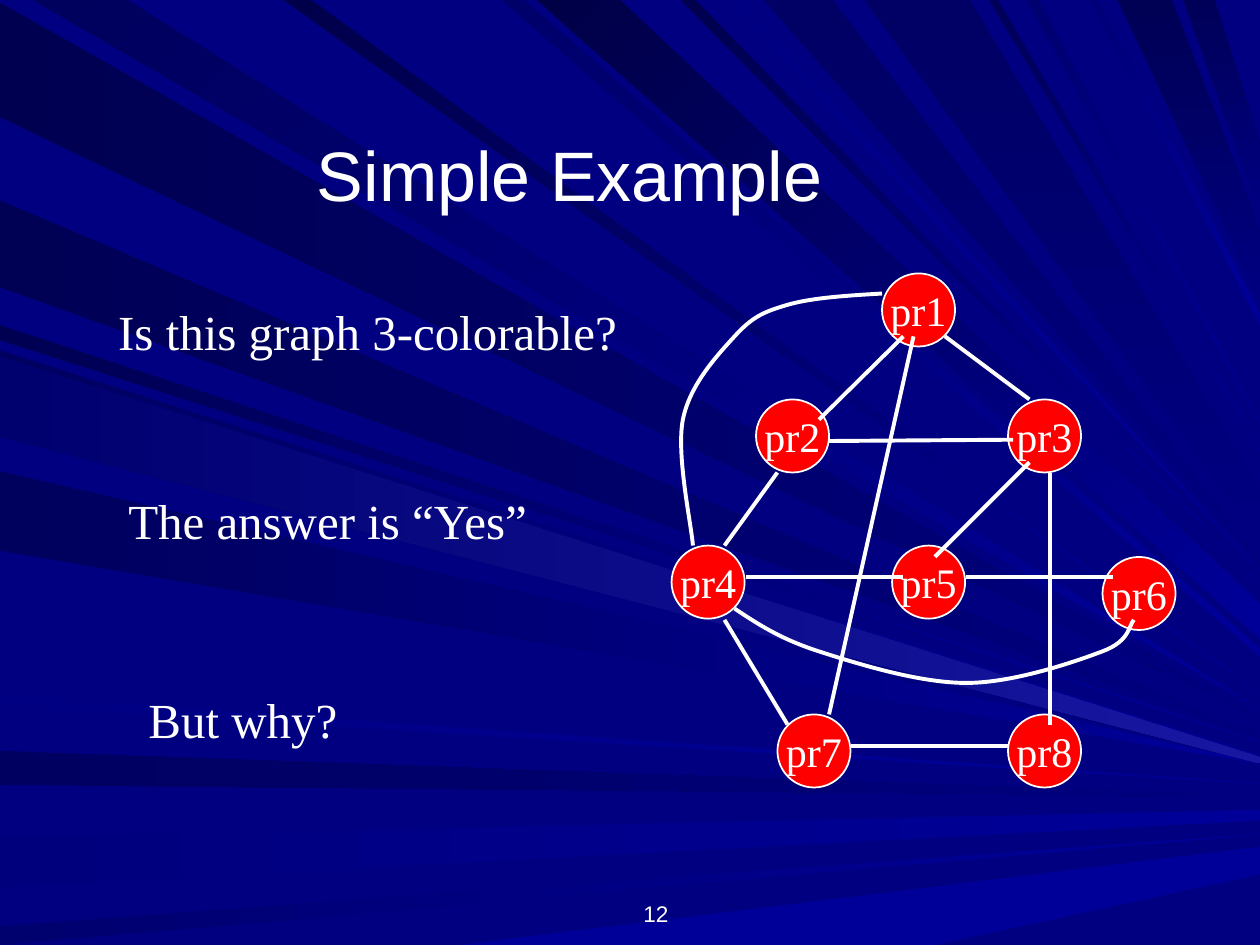
from dataclasses import dataclass

from pptx import Presentation
from pptx.dml.color import RGBColor
from pptx.enum.shapes import MSO_CONNECTOR, MSO_SHAPE
from pptx.enum.text import MSO_ANCHOR, PP_ALIGN
from pptx.oxml.ns import qn
from pptx.util import Inches, Pt


@dataclass(frozen=True)
class Theme:
    background: str = "000080"
    bright: str = "000099"
    glow: str = "1717A2"
    ink: str = "FFFFFF"
    node: str = "FF0000"
    sans: str = "Arial"
    serif: str = "Times New Roman"
    title_size: float = 40
    body_size: float = 28
    node_size: float = 24
    number_size: float = 12.9
    outline: float = 1
    edge: float = 2.25


theme = Theme()


def set_text(shape, text, size, font, align, anchor):
    frame = shape.text_frame
    frame.text = text
    frame.vertical_anchor = anchor
    para = frame.paragraphs[0]
    para.alignment = align
    for span in para.runs:
        span.font.size = Pt(size)
        span.font.name = font
        span.font.color.rgb = RGBColor.from_string(theme.ink)


def add_outline(shapes, points, close):
    """Add a freeform through points given in inches."""
    start, *rest = [(Inches(x), Inches(y)) for x, y in points]
    builder = shapes.build_freeform(*start, scale=1.0)
    builder.add_line_segments(rest, close=close)
    shape = builder.convert_to_shape()
    shape.shadow.inherit = False
    return shape


deck = Presentation()
deck.slide_width, deck.slide_height = Inches(10), Inches(7.5)
page = deck.slides.add_slide(deck.slide_layouts[5])
page.background.fill.solid()
page.background.fill.fore_color.rgb = RGBColor.from_string(theme.background)

# Rays run from the left, top or bottom edge to the right edge:
# edge, first colour, last colour, span on that edge, end or span on the right edge
rays = [
    ("left", "000051", theme.background, 0.02, 0.93, 5.7),
    ("top", "00005D", theme.bright, 0.26, 1.01, 5.63),
    ("left", "000061", theme.background, 5.96, 6.23, 6.32),
    ("left", "00007D", theme.bright, 6.65, 7.04, 6.43, 6.51),
    ("left", "00006F", theme.bright, 7.35, 7.5, 6.62),
    ("bottom", theme.bright, theme.bright, 3.64, 7.42, 6.72, 6.94),
    ("left", "000053", theme.bright, 2.58, 2.7, 5.89),
    ("left", "000055", theme.background, 1.59, 2.28, 5.85),
    ("top", "00006B", theme.bright, 3.98, 4.16, 5.21, 5.15),
    ("top", "000047", theme.bright, 4.26, 4.92, 5.07, 4.79),
    ("top", "00004F", theme.bright, 5.4, 5.52, 4.63),
    ("top", "000065", theme.background, 6.06, 6.61, 4.46),
    ("top", "000055", theme.background, 8.87, 9.3, 2.37, 1.83),
    ("top", "000059", theme.background, 9.39, 9.64, 1.67, 1.14),
    ("left", "000061", theme.bright, 2.78, 3.42, 6),
    ("left", "00005D", theme.bright, 3.74, 4.37, 6.06),
    ("left", "000082", theme.bright, 5.52, 5.6, 6.22),
    ("top", "00004A", theme.bright, 2.25, 2.47, 5.5),
    ("top", "000082", theme.bright, 5.77, 5.88, 4.54),
    ("top", "000065", theme.background, 6.86, 7.7, 4.28, 3.9),
    ("top", "000058", theme.bright, 7.85, 7.92, 3.57),
    ("top", "00006F", theme.bright, 8.15, 8.24, 3.36),
    ("top", "000079", theme.bright, 8.65, 8.72, 2.58, 2.49),
    ("left", "00006F", theme.glow, 2.83, 3.47, 6.01, 6.06),
]
ray_group = page.shapes.add_group_shape()
for side, first, last, near, far, *ends in rays:
    if side == "left":
        base, angle = [(0, near), (0, far)], 0
    else:
        y = 0 if side == "top" else 7.5
        base, angle = [(near, y), (far, y)], 90 if last == theme.background else 45
    tip = [(10, y) for y in reversed(ends)]
    ray = add_outline(ray_group.shapes, base + tip, close=True)
    ray.line.fill.background()
    ray.fill.gradient()
    ray.fill.gradient_angle = 360 - angle
    for stop, color in zip(ray.fill.gradient_stops, (first, last)):
        stop.color.rgb = RGBColor.from_string(color)

# The title goes in front of the rays
title = page.shapes.title
ray_group._element.addnext(title._element)
title.left, title.top, title.width, title.height = [Inches(n) for n in (0.83, 0.92, 7.38, 0.91)]
set_text(title, "Simple Example", theme.title_size, theme.sans, PP_ALIGN.CENTER, MSO_ANCHOR.MIDDLE)

number = page.shapes.add_textbox(Inches(1.83), Inches(7.08), Inches(6.75), Inches(0.33))
number.text_frame.word_wrap = True
set_text(number, "12", theme.number_size, theme.sans, PP_ALIGN.CENTER, MSO_ANCHOR.BOTTOM)

statements = [
    ("Is this graph 3-colorable?", 0.84, 2.34, 4.16),
    ("The answer is “Yes”", 0.92, 3.84, 3.4),
    ("But why?", 1.08, 5.42, 2.58),
]
for text, left, top, width in statements:
    box = page.shapes.add_textbox(Inches(left), Inches(top), Inches(width), Inches(0.55))
    box.text_frame.word_wrap = True
    set_text(box, text, theme.body_size, theme.serif, PP_ALIGN.LEFT, MSO_ANCHOR.TOP)

# Graph nodes, pr1 to pr8
diameter = Inches(0.58)
corners = [(7, 2.17), (6, 3.17), (8, 3.17), (5.33, 4.33), (7.08, 4.33), (8.75, 4.42), (6.17, 5.67), (8, 5.67)]
for index, (left, top) in enumerate(corners, start=1):
    node = page.shapes.add_shape(MSO_SHAPE.OVAL, Inches(left), Inches(top), diameter, diameter)
    node.shadow.inherit = False
    node.fill.solid()
    node.fill.fore_color.rgb = RGBColor.from_string(theme.node)
    node.line.color.rgb = RGBColor.from_string(theme.ink)
    node.line.width = Pt(theme.outline)
    node.text_frame.word_wrap = False
    set_text(node, f"pr{index}", theme.node_size, theme.serif, PP_ALIGN.CENTER, MSO_ANCHOR.MIDDLE)

edges = []
straight_edges = [
    (7.17, 2.67, 6.5, 3.33), (6.58, 3.5, 8.04, 3.49), (6.17, 3.75, 5.75, 4.33),
    (7.67, 4.58, 8.83, 4.58), (7.5, 2.67, 8.17, 3.17), (5.92, 4.58, 7.17, 4.58),
    (7.25, 2.67, 6.58, 5.67), (8.33, 3.75, 8.33, 5.75), (6.75, 5.92, 8, 5.92),
    (5.75, 4.92, 6.25, 5.75), (8.17, 3.67, 7.42, 4.42),
]
for ends in straight_edges:
    edge = page.shapes.add_connector(MSO_CONNECTOR.STRAIGHT, *[Inches(n) for n in ends])
    edge._element.spPr.get_or_add_ln()
    edge._element.spPr.append(edge._element.makeelement(qn("a:effectLst"), {}))
    edges.append(edge)

# Each curve passes smoothly through its knots; handles are a sixth of the neighbours' distance
curved_edges = [
    [(5.83, 4.83), (6.5, 5.17), (7.67, 5.42), (8.75, 5.17), (9, 4.92)],
    [(7, 2.33), (6.25, 2.42), (5.83, 2.67), (5.42, 3.33), (5.5, 4.33)],
]
for knots in curved_edges:
    points = []
    for before, knot, after in zip(knots[:1] + knots, knots, knots[1:] + knots[-1:]):
        handle = [(b - a) / 6 for a, b in zip(before, after)]
        points.append([k - h for k, h in zip(knot, handle)])
        points.append(knot)
        points.append([k + h for k, h in zip(knot, handle)])
    points = points[1:-1]
    points[1] = [(a + b) / 2 for a, b in zip(points[0], points[2])]
    edge = add_outline(page.shapes, points, close=False)
    edge.fill.background()
    segments = edge._element.xpath(".//a:lnTo")
    for start in range(0, len(segments), 3):
        bezier = edge._element.makeelement(qn("a:cubicBezTo"), {})
        segments[start].addprevious(bezier)
        for segment in segments[start:start + 3]:
            bezier.append(segment[0])
            segment.getparent().remove(segment)
    edges.append(edge)

for edge in edges:
    edge.line.color.rgb = RGBColor.from_string(theme.ink)
    edge.line.width = Pt(theme.edge)

deck.save("out.pptx")
